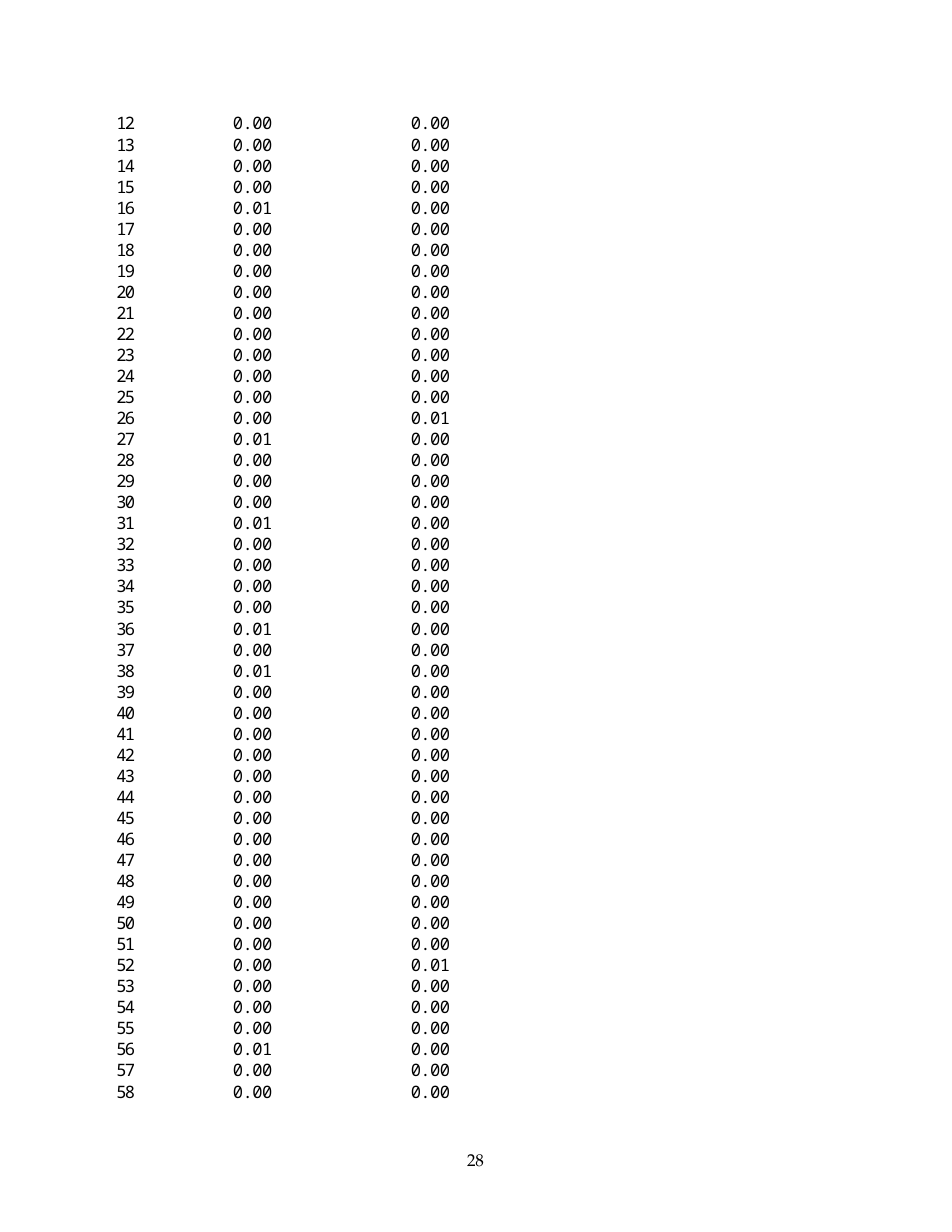
"""Build a page with a three-column table of numbers and a page number."""
import pptx
import pptx.util
import pptx.dml.color
import pptx.enum.text

HUES = {"ink": "000000", "page": "FFFFFF"}
UNIT = pptx.util.Inches(0.01)
WIDE, HIGH = 850, 1100
LEFT, TOP = 101, 102
COLS = [63, 139, 99]
EDGE, STEP = 20, 18.8
FIRST, LAST = 12, 58
MID = {16, 27, 31, 36, 38, 56}
END = {26, 52}
ALIGN = pptx.enum.text.PP_ALIGN
LOOKS = [
    {"indent": 3, "track": -1.2, "align": ALIGN.LEFT},
    {"indent": 44, "track": -0.4, "align": ALIGN.LEFT},
    {"indent": 0, "track": -0.4, "align": ALIGN.RIGHT},
]


def grid(count):
    return round(count * UNIT)


def write(para, text, face, look, form):
    for name, value in {"alignment": look["align"], **form}.items():
        setattr(para, name, value)
    para._p.get_or_add_pPr().set("marL", str(grid(look["indent"])))
    run = para.add_run()
    run.text = text
    for name, value in {"name": face, "size": pptx.util.Pt(11)}.items():
        setattr(run.font, name, value)
    run.font.color.rgb = pptx.dml.color.RGBColor.from_string(HUES["ink"])
    run._r.get_or_add_rPr().set("spc", str(round(look["track"] * 100)))


deck = pptx.Presentation()
deck.slide_width, deck.slide_height = grid(WIDE), grid(HIGH)
slide = deck.slides.add_slide(deck.slide_layouts[6])
back = slide.background.fill
back.solid()
back.fore_color.rgb = pptx.dml.color.RGBColor.from_string(HUES["page"])

box = slide.shapes.add_textbox(grid(413), grid(1023), grid(24), grid(24))
frame = {"margin_left": 0, "margin_top": grid(3), "margin_right": 0,
         "margin_bottom": 0, "word_wrap": True}
for name, value in frame.items():
    setattr(box.text_frame, name, value)
write(box.text_frame.paragraphs[0], "28", "TeX Gyre Pagella",
      {"indent": 4, "track": -0.1, "align": ALIGN.LEFT},
      {"space_before": pptx.util.Pt(2.3)})

keys = range(FIRST, LAST + 1)
rows = [EDGE] + [STEP] * (len(keys) - 2) + [EDGE]
table = slide.shapes.add_table(len(rows), len(COLS), grid(LEFT), grid(TOP),
                               grid(sum(COLS)), grid(sum(rows))).table
for name in ("first_row", "horz_banding"):
    setattr(table, name, False)
for col, width in zip(table.columns, COLS):
    col.width = grid(width)

sides = {f"margin_{side}": 0 for side in ("left", "top", "right", "bottom")}
leads = {FIRST: 12.9, LAST: 12.8}
for row, key, height in zip(table.rows, keys, rows):
    row.height = grid(height)
    texts = [str(key)] + ["0.01" if key in hits else "0.00" for hits in (MID, END)]
    form = {"line_spacing": pptx.util.Pt(leads.get(key, 12.6)),
            "space_before": pptx.util.Pt(0.1 if key == FIRST else 0)}
    for cell, text, look in zip(row.cells, texts, LOOKS):
        for name, value in sides.items():
            setattr(cell, name, value)
        cell.fill.background()
        write(cell.text_frame.paragraphs[0], text, "Noto Sans Mono", look, form)

deck.save("out.pptx")
